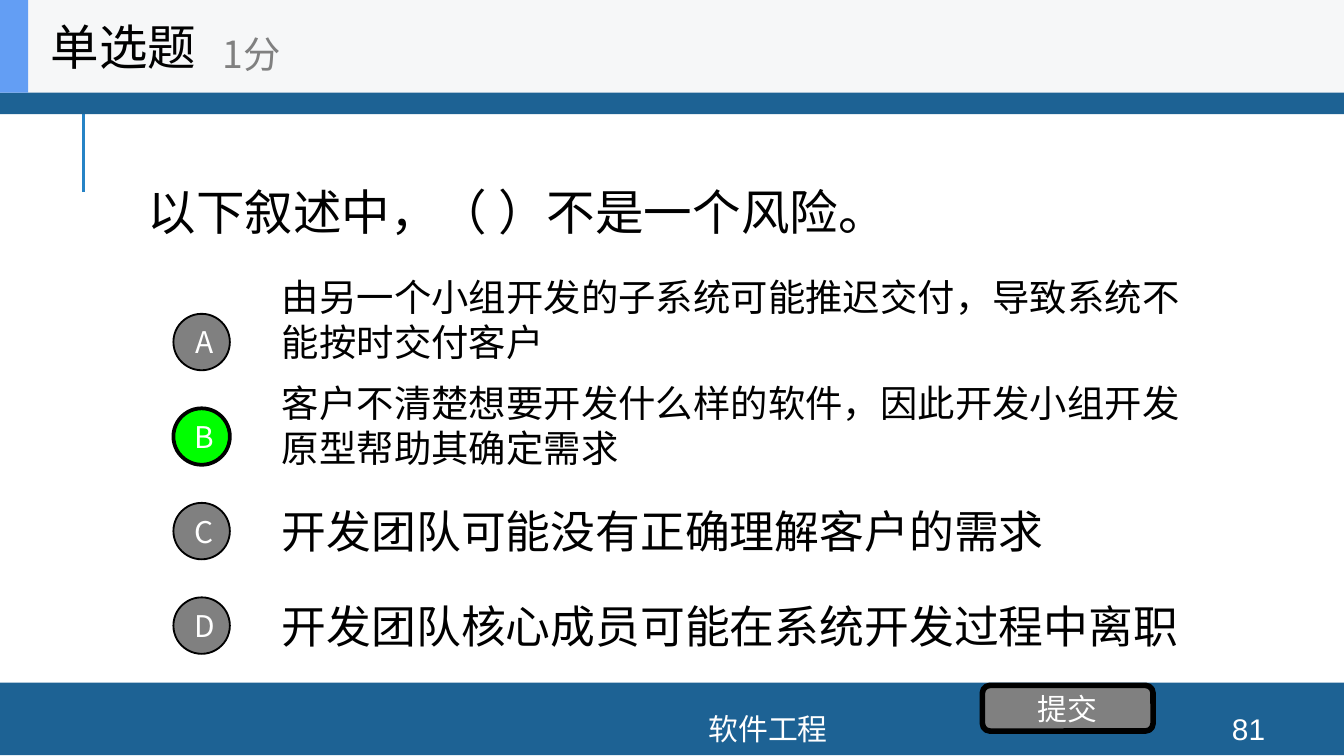
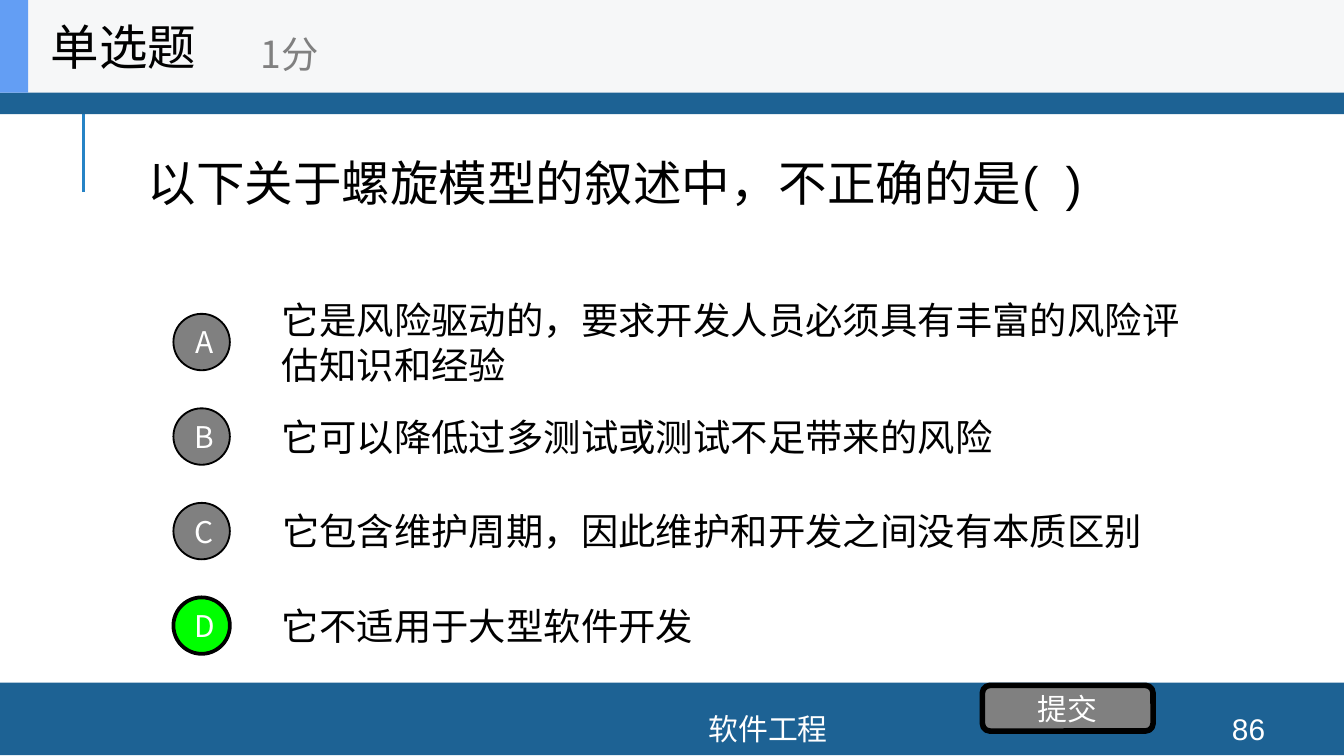
import pptx
import pptx.util
import pptx.dml.color
import pptx.enum.lang
import pptx.enum.shapes
import pptx.enum.text
import pptx.oxml

SHAPE = pptx.enum.shapes.MSO_SHAPE
ALIGN = pptx.enum.text.PP_ALIGN
Inches = pptx.util.Inches

BLUE, GREY, GREEN = "1D6294", "808080", "00FF00"
BLACK, WHITE = "000000", "FFFFFF"
LATIN, CHINESE = "Arial", "Noto Sans CJK SC"

ROW_TOP, ROW_LAST, ROW_HEIGHT = 2.28, 4.39, 0.53
BADGE_SIZE = 0.42

QUESTIONS = [
    {
        "page": "81",
        "score_left": 1.56,
        "question": "以下叙述中，（ ）不是一个风险。",
        "question_lift": 0,
        "answer": "B",
        "options": [
            ("A", "由另一个小组开发的子系统可能推迟交付，导致系统不能按时交付客户", 20, 7, 0.53, 0.34),
            ("B", "客户不清楚想要开发什么样的软件，因此开发小组开发原型帮助其确定需求", 20, 7, 0.7, 0.34),
            ("C", "开发团队可能没有正确理解客户的需求", 24, 7, 0.53, 0),
            ("D", "开发团队核心成员可能在系统开发过程中离职", 24, 7.57, 0.53, 0),
        ],
    },
    {
        "page": "86",
        "score_left": 1.84,
        "question": "以下关于螺旋模型的叙述中，不正确的是(  )",
        "question_lift": 0.43,
        "answer": "D",
        "options": [
            ("A", "它是风险驱动的，要求开发人员必须具有丰富的风险评估知识和经验", 20, 7, 0.53, 0),
            ("B", "它可以降低过多测试或测试不足带来的风险", 20, 7, 0.53, 0),
            ("C", "它包含维护周期，因此维护和开发之间没有本质区别", 20, 7.51, 0.53, 0),
            ("D", "它不适用于大型软件开发", 20, 7, 0.53, 0),
        ],
    },
]


def color(value):
    return pptx.dml.color.RGBColor.from_string(value)


def write(box, text, size, ink, font, align, insets):
    frame = box.text_frame
    left, top, right, bottom = (Inches(inset) for inset in insets)
    frame_format = {
        "word_wrap": True,
        "vertical_anchor": pptx.enum.text.MSO_ANCHOR.MIDDLE,
        "margin_left": left,
        "margin_top": top,
        "margin_right": right,
        "margin_bottom": bottom,
    }
    for name, value in frame_format.items():
        setattr(frame, name, value)
    para = frame.paragraphs[0]
    para.alignment = align
    span = para.add_run()
    span.text = text
    span_format = {
        "size": pptx.util.Pt(size),
        "name": font,
        "language_id": pptx.enum.lang.MSO_LANGUAGE_ID.SIMPLIFIED_CHINESE,
    }
    for name, value in span_format.items():
        setattr(span.font, name, value)
    span.font.color.rgb = color(ink)
    east_asian = pptx.oxml.parse_xml(
        '<a:ea xmlns:a="http://schemas.openxmlformats.org/drawingml/2006/main" '
        f'typeface="{CHINESE}"/>'
    )
    span.font._element.append(east_asian)


def add_text(shapes, place, text, size, ink=BLACK, font=LATIN, align=ALIGN.LEFT, lift=0):
    box = shapes.add_textbox(*map(Inches, place))
    write(box, text, size, ink, font, align, (0.1, 0.05, 0.1, 0.05 + lift))


def add_block(shapes, kind, place, fill, line_width=0, text="", left_inset=0):
    block = shapes.add_shape(kind, *map(Inches, place))
    block.shadow.inherit = False
    block.fill.solid()
    block.fill.fore_color.rgb = color(fill)
    if line_width:
        block.line.color.rgb = color(BLACK)
        block.line.width = pptx.util.Pt(line_width)
    else:
        block.line.fill.background()
    if text:
        write(block, text, 16, WHITE, CHINESE, ALIGN.CENTER, (left_inset, 0, 0, 0))


def add_frame(page, number):
    shapes = page.shapes
    rule = shapes.add_connector(
        pptx.enum.shapes.MSO_CONNECTOR.STRAIGHT,
        *map(Inches, (0.62, 1.43, 0.62, 0.68)),
    )
    rule.line.color.rgb = color("2683C6")
    rule.line.width = pptx.util.Pt(1.5)
    rule._element.spPr.append(pptx.oxml.parse_xml(
        '<a:effectLst xmlns:a="http://schemas.openxmlformats.org/drawingml/2006/main"/>'
    ))
    for place in ((0, 5.08, 10, 0.54), (0, -0.03, 10, 0.88)):
        add_block(shapes, SHAPE.RECTANGLE, place, BLUE)
    for text, left, width in (("软件工程", 2.61, 6.21), (number, 8.89, 0.8)):
        add_text(shapes, (left, 5.31, width, 0.23), text, 16, WHITE, align=ALIGN.CENTER)


def add_header(page, score_left):
    shapes = page.shapes.add_group_shape().shapes
    for width, fill in ((10, "F6F7F8"), (0.21, "639EF4")):
        add_block(shapes, SHAPE.RECTANGLE, (0, 0, width, 0.69), fill)
    add_text(shapes, (0.28, 0, 2.08, 0.69), "单选题", 26, font=CHINESE)
    add_text(shapes, (score_left, 0.12, 2.5, 0.56), "1分", 20, GREY, CHINESE)


def add_options(page, options, answer):
    pitch = (ROW_LAST - ROW_TOP) / (len(options) - 1)
    for row, (letter, text, size, width, height, lift) in enumerate(options):
        top = ROW_TOP + row * pitch
        add_text(page.shapes, (2, top, width, height), text, size, lift=lift)
        fill, line_width = (GREEN, 2) if letter == answer else (GREY, 1)
        badge_top = top + (ROW_HEIGHT - BADGE_SIZE) / 2
        add_block(page.shapes, SHAPE.OVAL, (1.29, badge_top, BADGE_SIZE, BADGE_SIZE),
                  fill, line_width, letter, left_inset=0.04)


def main():
    deck = pptx.Presentation()
    deck.slide_width = Inches(10)
    deck.slide_height = deck.slide_width * 9 // 16
    for item in QUESTIONS:
        page = deck.slides.add_slide(deck.slide_layouts[6])
        add_frame(page, item["page"])
        add_text(page.shapes, (1, 0.69, 8, 1.76), item["question"], 26,
                 lift=item["question_lift"])
        add_options(page, item["options"], item["answer"])
        add_block(page.shapes, SHAPE.ROUNDED_RECTANGLE, (7.31, 5.1, 1.27, 0.34),
                  GREY, 3, "提交")
        add_header(page, item["score_left"])
    deck.save("out.pptx")


if __name__ == "__main__":
    main()
